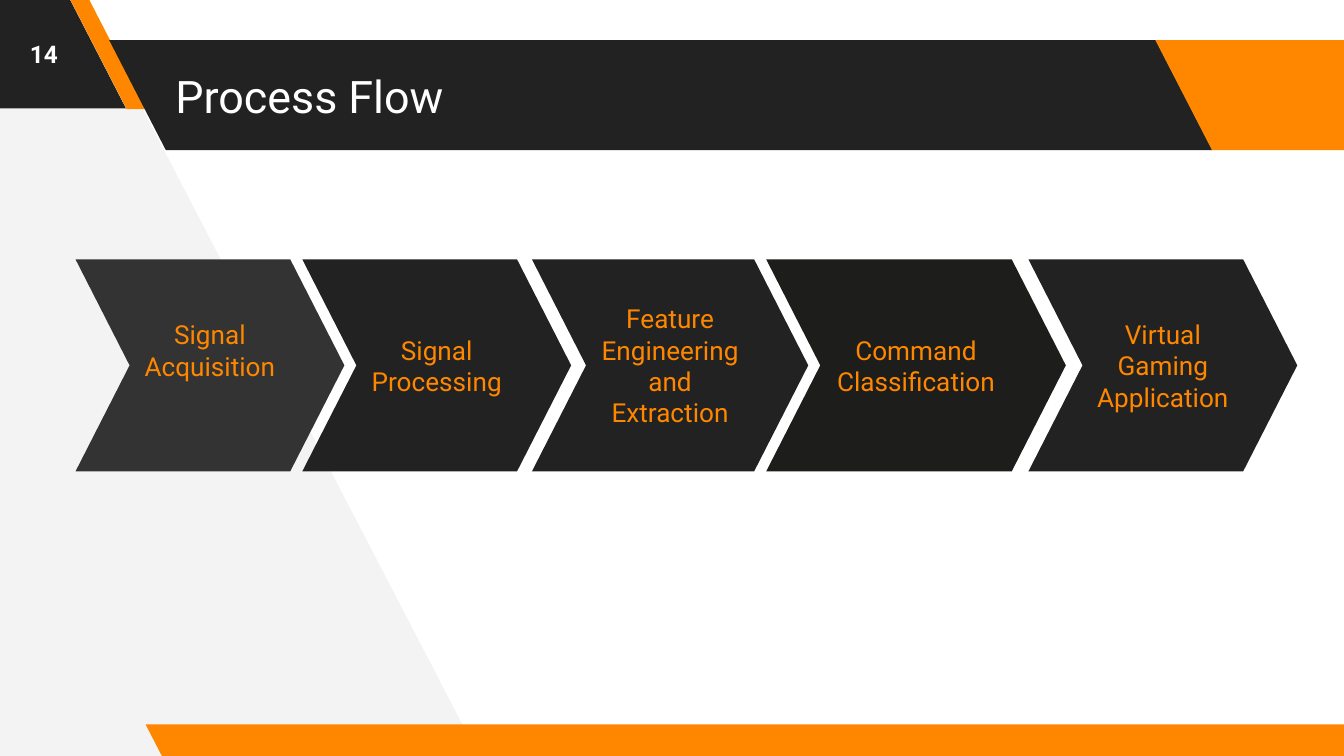
from dataclasses import dataclass

from pptx import Presentation
from pptx.dml.color import RGBColor
from pptx.enum.shapes import MSO_SHAPE as Preset
from pptx.enum.text import MSO_ANCHOR as Anchor, MSO_AUTO_SIZE as AutoSize, PP_ALIGN as Align
from pptx.util import Pt

PX = 6350
INSET = 14


@dataclass(frozen=True)
class Theme:
    """Colours, font and type sizes of the slide."""
    font: str = "Roboto"
    dark: str = "222222"
    charcoal: str = "333333"
    black: str = "1D1D1B"
    orange: str = "FF8700"
    pale: str = "F3F3F3"
    white: str = "FFFFFF"
    title_size: int = 24
    step_size: int = 14
    number_size: int = 13


THEME = Theme()


def px(*lengths):
    """Turn px lengths into EMU."""
    return [length * PX for length in lengths]


def paint(shape, color):
    """Give a shape a flat fill with no outline or shadow."""
    shape.shadow.inherit = False
    shape.fill.solid()
    shape.fill.fore_color.rgb = RGBColor.from_string(color)
    shape.line.fill.background()


def write(shape, text, size, color, align=Align.CENTER, bold=False, bottom=INSET):
    """Set one middle-anchored, wrapped paragraph in a shape."""
    frame = shape.text_frame
    frame.text = text
    frame.word_wrap = True
    frame.auto_size = AutoSize.NONE
    frame.vertical_anchor = Anchor.MIDDLE
    frame.margin_left, frame.margin_top, frame.margin_right, frame.margin_bottom = px(
        INSET, INSET, INSET, bottom)
    para = frame.paragraphs[0]
    para.alignment = align
    para.font.name = THEME.font
    para.font.size = Pt(size)
    para.font.bold = bold
    para.font.color.rgb = RGBColor.from_string(color)


def add_backdrop(page):
    """Draw the pale slanted area on the left."""
    builder = page.shapes.build_freeform(513, 810, scale=PX)
    builder.add_line_segments([(89, -6), (-9, -6), (-3, 815)], close=True)
    paint(builder.convert_to_shape(), THEME.pale)


def add_band(page, box, color, slant=0.515):
    """Draw a parallelogram that leans to the left."""
    band = page.shapes.add_shape(Preset.PARALLELOGRAM, *px(*box))
    band.adjustments[0] = slant
    band._element.spPr.xfrm.set("flipH", "1")
    paint(band, color)


def add_title(page, text, box):
    """Move and fill the title placeholder."""
    title = page.shapes.title
    title.left, title.top, title.width, title.height = px(*box)
    write(title, text, THEME.title_size, THEME.white, Align.LEFT)
    page.shapes._spTree.append(title._element)


def add_number(page, text):
    """Write the page number in the top left corner."""
    number = page.shapes.add_textbox(*px(0, 0, 94, 115))
    write(number, text, THEME.number_size, THEME.white, bold=True)


def add_step(page, text, left, width, color, bottom=INSET):
    """Draw one chevron of the process."""
    step = page.shapes.add_shape(Preset.CHEVRON, *px(left, 278, width, 227))
    step.adjustments[0] = 0.255
    paint(step, color)
    write(step, text, THEME.step_size, THEME.orange, bottom=bottom)


def main():
    """Build and save the slide."""
    deck = Presentation()
    deck.slide_width, deck.slide_height = px(1440, 810)
    page = deck.slides.add_slide(deck.slide_layouts[5])

    add_backdrop(page)
    add_band(page, (-142, -2, 277, 118), THEME.dark)
    add_band(page, (75, -1, 81, 118), THEME.orange, slant=0.75)
    add_band(page, (117, 43, 1182, 118), THEME.dark)
    add_band(page, (1238, 43, 276, 118), THEME.orange)
    add_band(page, (156, 776, 1318, 36), THEME.orange)
    add_title(page, "Process Flow", (174, 43, 1058, 118))
    add_number(page, "14")

    add_step(page, "Signal Acquisition", 81, 288, THEME.charcoal, bottom=47)
    add_step(page, "Signal Processing", 324, 288, THEME.dark)
    add_step(page, "Feature Engineering and Extraction", 570, 296, THEME.dark)
    add_step(page, "Command Classification", 821, 321, THEME.black)
    add_step(page, "Virtual Gaming Application", 1102, 288, THEME.dark)
    deck.save("out.pptx")


if __name__ == "__main__":
    main()
